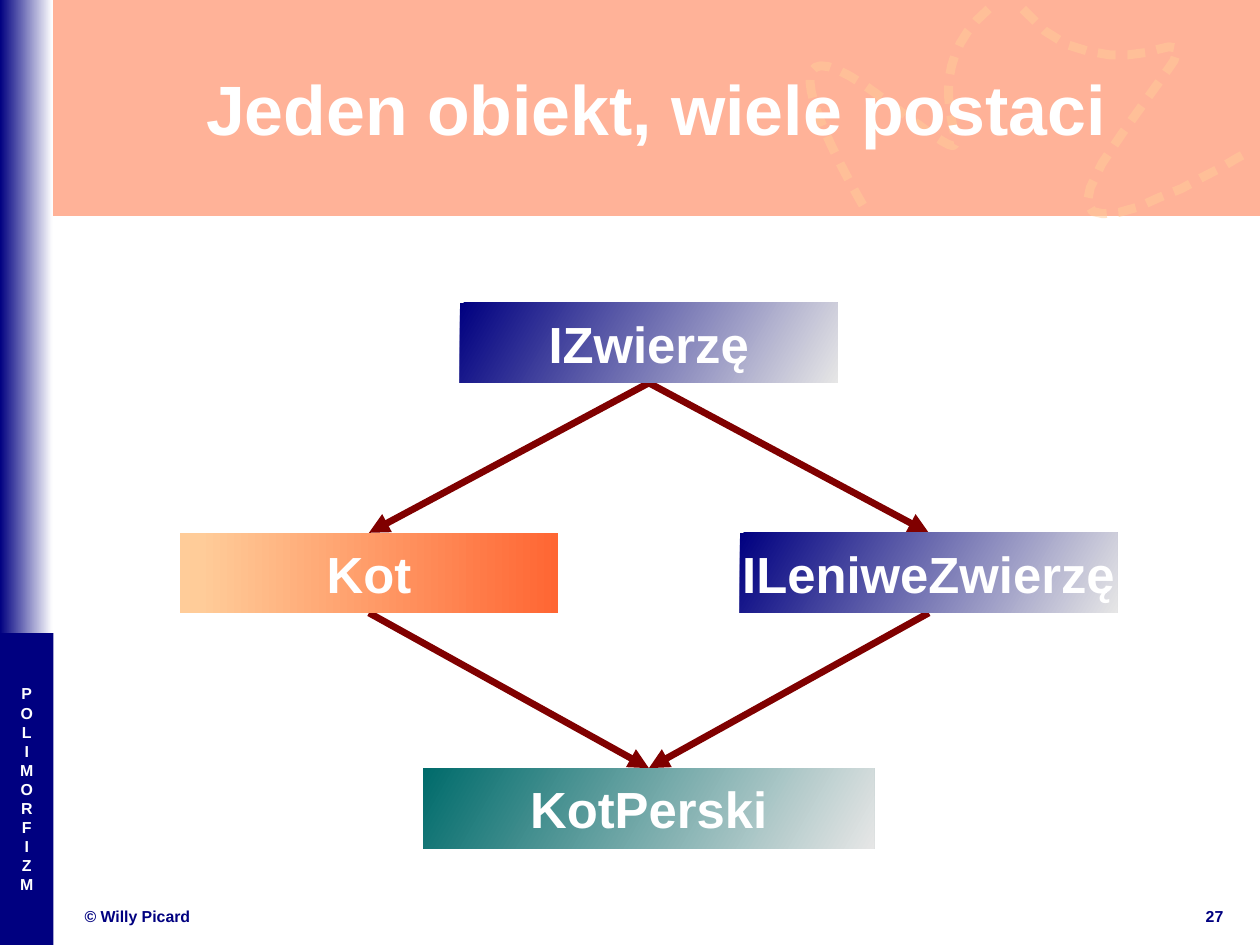
from lxml.etree import SubElement
from pptx import Presentation
from pptx.dml.color import RGBColor
from pptx.enum.shapes import MSO_CONNECTOR, MSO_SHAPE
from pptx.enum.text import MSO_ANCHOR, PP_ALIGN
from pptx.oxml.ns import qn
from pptx.util import Cm, Pt

NAVY, WHITE, SILVER = "000080", "FFFFFF", "E6E6E6"
ORANGE, PEACH, TEAL, MAROON = "FF6633", "FFCC99", "006B6B", "800000"
BOTTOM, TOP = 2, 0  # connection sites of a rectangle


def rgb(hex_code):
    return RGBColor.from_string(hex_code)


def make_translucent(fill, percent):
    color = fill._xPr.find(qn("a:solidFill"))[0]
    SubElement(color, qn("a:alpha"), val=str(percent * 1000))


def bezier(start, control1, control2, end, steps=24):
    """Points along a cubic curve, without its start."""
    points = []
    for step in range(1, steps + 1):
        t = step / steps
        weights = ((1 - t) ** 3, 3 * t * (1 - t) ** 2, 3 * t * t * (1 - t), t ** 3)
        corners = (start, control1, control2, end)
        points.append(tuple(sum(w * c[axis] for w, c in zip(weights, corners))
                            for axis in (0, 1)))
    return points


class SlidePainter:
    font = "Arial"

    def __init__(self, slide):
        self.shapes = slide.shapes

    def fill_text(self, frame, lines, size, color, align=PP_ALIGN.CENTER, wrap=True):
        frame.margin_left = frame.margin_right = 0
        frame.margin_top = frame.margin_bottom = 0
        frame.vertical_anchor = MSO_ANCHOR.MIDDLE
        frame.word_wrap = wrap
        for index, line in enumerate(lines):
            paragraph = frame.add_paragraph() if index else frame.paragraphs[0]
            paragraph.alignment = align
            run = paragraph.add_run()
            run.text = line
            run.font.name, run.font.size, run.font.bold = self.font, Pt(size), True
            run.font.color.rgb = rgb(color)

    def text(self, lines, place, size, color, align=PP_ALIGN.CENTER):
        label = self.shapes.add_textbox(*map(Cm, place))
        self.fill_text(label.text_frame, lines, size, color, align)

    def panel(self, place, color, opacity=100):
        panel = self.shapes.add_shape(MSO_SHAPE.RECTANGLE, *map(Cm, place))
        panel.shadow.inherit = False
        panel.line.fill.background()
        panel.fill.solid()
        panel.fill.fore_color.rgb = rgb(color)
        if opacity < 100:
            make_translucent(panel.fill, opacity)
        return panel

    def gradient_panel(self, place, colors, angle=0, start=0):
        """Angle runs clockwise; start is the share held in the first colour."""
        panel = self.panel(place, colors[0])
        panel.fill.gradient()
        panel.fill.gradient_angle = (360 - angle) % 360
        for stop, color, position in zip(panel.fill.gradient_stops, colors, (start, 1)):
            stop.color.rgb = rgb(color)
            stop.position = position
        return panel

    def class_box(self, name, center, top, colors, angle=30, start=0, width=8.4):
        place = (center - width / 2, top, width, 1.78)
        box = self.gradient_panel(place, colors, angle, start)
        self.fill_text(box.text_frame, [name], 32, WHITE, wrap=False)
        return box

    def arrow(self):
        arrow = self.shapes.add_connector(MSO_CONNECTOR.STRAIGHT, 0, 0, 0, 0)
        arrow.line.width = Pt(4.31)
        arrow.line.color.rgb = rgb(MAROON)
        SubElement(arrow.line._ln, qn("a:tailEnd"), type="triangle")
        SubElement(arrow._element.spPr, qn("a:effectLst"))
        return arrow

    def dashed_trail(self, points):
        points = [(Cm(x), Cm(y)) for x, y in points]
        builder = self.shapes.build_freeform(*points[0])
        builder.add_line_segments(points[1:], close=False)
        trail = builder.convert_to_shape()
        trail.shadow.inherit = False
        trail.fill.background()
        trail.line.width = Pt(5.67)
        trail.line.color.rgb = rgb(PEACH)
        make_translucent(trail.line.fill, 50)
        dashes = SubElement(trail.line._ln, qn("a:custDash"))
        SubElement(dashes, qn("a:ds"), d="200000", sp="130000")


def draw_frame(painter):
    painter.panel((0, 0, 28, 4.8), ORANGE, opacity=50)
    painter.gradient_panel((0, 0, 1.17, 14.53), (NAVY, WHITE))
    chapter_place = (0, 14.07, 1.19, 6.93)
    painter.panel(chapter_place, NAVY)

    loop_start, loop_middle = (21.97, 0.2), (19.61, 2.18)
    painter.dashed_trail(
        [loop_start]
        + bezier(loop_start, (19.66, 2.18), (22.99, 4.7), loop_middle)
        + bezier(loop_middle, (16.23, -0.36), (19.23, 4.65), (19.23, 4.65)))
    painter.dashed_trail([
        (22.73, 0.2), (23.22, 0.69), (23.7, 0.99), (24.18, 1.14), (24.66, 1.22),
        (25.07, 1.22), (25.45, 1.17), (25.76, 1.09), (25.98, 1.04), (26.14, 1.07),
        (26.16, 1.14), (26.09, 1.35), (25.86, 1.68), (25.5, 2.18), (24.97, 2.92),
        (24.49, 3.63), (24.23, 4.17), (24.16, 4.5), (24.28, 4.7), (24.51, 4.75),
        (24.87, 4.72), (25.3, 4.6), (25.76, 4.39), (26.26, 4.19), (26.72, 3.94),
        (27.13, 3.73), (27.46, 3.53), (27.79, 3.35)])

    painter.text(["© Willy Picard"], (1.88, 20.12, 11.35, 0.48), 10, NAVY, PP_ALIGN.LEFT)
    painter.text(["27"], (26.57, 20.12, 0.84, 0.48), 10, NAVY)
    painter.text(["Jeden obiekt, wiele postaci"], (1.83, 0.64, 25.53, 3.5), 44, WHITE)
    painter.text("POLIMORFIZM", chapter_place, 10, WHITE)


def draw_hierarchy(painter):
    middle, offset = 14.42, 6.22
    top_row, middle_row, bottom_row = 6.73, 11.84, 17.07

    arrows = [painter.arrow() for _ in range(4)]  # beneath the boxes
    cat = painter.class_box("Kot", middle - offset, middle_row,
                            (PEACH, ORANGE), angle=0, start=0.05)
    persian = painter.class_box("KotPerski", middle, bottom_row,
                                (TEAL, SILVER), width=10.03)
    animal = painter.class_box("IZwierzę", middle, top_row, (NAVY, SILVER))
    lazy_animal = painter.class_box("ILeniweZwierzę", middle + offset, middle_row,
                                    (NAVY, SILVER))

    links = ((animal, cat), (animal, lazy_animal), (cat, persian), (lazy_animal, persian))
    for arrow, (parent, child) in zip(arrows, links):
        arrow.begin_connect(parent, BOTTOM)
        arrow.end_connect(child, TOP)


def main():
    deck = Presentation()
    deck.slide_width, deck.slide_height = Cm(28), Cm(21)
    painter = SlidePainter(deck.slides.add_slide(deck.slide_layouts[6]))
    draw_frame(painter)
    draw_hierarchy(painter)
    deck.save("out.pptx")


if __name__ == "__main__":
    main()
